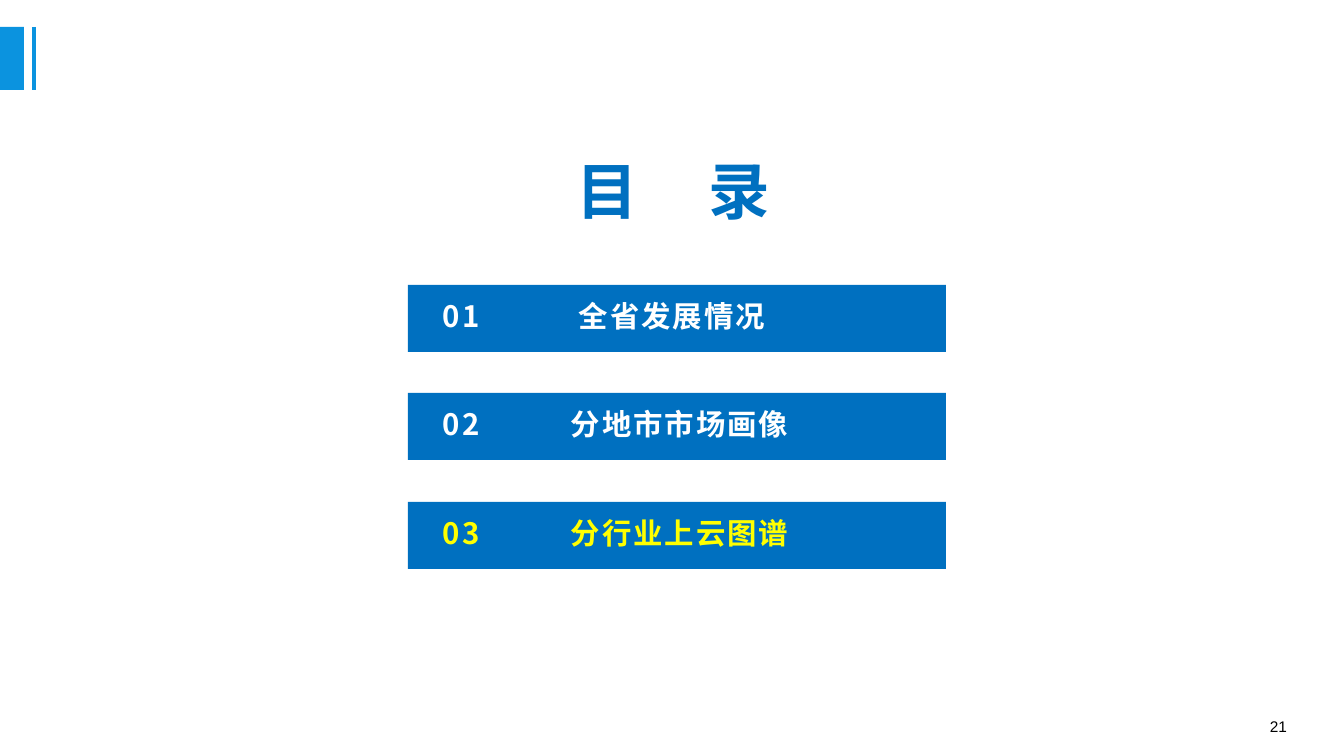
from lxml import etree
from pptx import Presentation, util as u
from pptx.dml.color import RGBColor
from pptx.enum import shapes, text
from pptx.oxml import ns

PX = 914400 / 100.8
CJK = "Noto Sans CJK SC"
BLUE, ACCENT = "0070C0", "0B93DF"
WHITE, YELLOW, BLACK = "FFFFFF", "FFFF00", "000000"


def px(length):
    return u.Emu(round(length * PX))


def colour(value):
    return RGBColor.from_string(value)


class SlideKit:
    """Draws styled elements on the current slide, measured in px."""

    def __init__(self, slide):
        self.slide = slide

    def bar(self, left, top, width, height, fill):
        bar = self.slide.shapes.add_shape(
            shapes.MSO_SHAPE.RECTANGLE, px(left), px(top), px(width), px(height))
        bar.shadow.inherit = False
        bar.fill.solid()
        bar.fill.fore_color.rgb = colour(fill)
        bar.line.fill.background()
        return bar

    def rule(self, x1, y1, x2, y2, stroke, weight):
        rule = self.slide.shapes.add_connector(
            shapes.MSO_CONNECTOR.STRAIGHT, px(x1), px(y1), px(x2), px(y2))
        rule.line.color.rgb = colour(stroke)
        rule.line.width = u.Pt(weight)
        etree.SubElement(rule._element.spPr, ns.qn("a:effectLst"))

    def label(self, left, top, width, height):
        return self.slide.shapes.add_textbox(px(left), px(top), px(width), px(height))

    def add_words(self, holder, runs, size, font=CJK, bold=True, align=text.PP_ALIGN.LEFT,
                  inset=(0, 0), spacing=1.0, tab=None, tracking=0):
        frame = holder.text_frame
        frame.word_wrap = True
        frame.vertical_anchor = text.MSO_ANCHOR.MIDDLE
        frame.margin_left, frame.margin_right = map(px, inset)
        frame.margin_top = frame.margin_bottom = 0
        paragraph = frame.paragraphs[0]
        paragraph.alignment = align
        paragraph.line_spacing = spacing
        if tab:
            stops = etree.SubElement(paragraph._p.get_or_add_pPr(), ns.qn("a:tabLst"))
            etree.SubElement(stops, ns.qn("a:tab"), pos=str(px(tab)), algn="l")
        for words, ink in runs:
            run = paragraph.add_run()
            run.text = words
            run.font.size, run.font.bold = u.Pt(size), bold
            run.font.color.rgb = colour(ink)
            run.font.name = font
            props = run._r.get_or_add_rPr()
            etree.SubElement(props, ns.qn("a:ea"), typeface=font)
            if tracking:
                props.set("spc", str(tracking))


def main():
    deck = Presentation()
    deck.slide_width, deck.slide_height = px(1344), px(756)
    kit = SlideKit(deck.slides.add_slide(deck.slide_layouts[6]))

    kit.bar(0, 27, 24, 63, ACCENT)
    kit.rule(34, 27, 34, 90, ACCENT, 2.25)
    page_number = kit.label(1239, 712, 58, 29)
    kit.add_words(page_number, [("21", BLACK)], 11, font="Arial", bold=False,
                  align=text.PP_ALIGN.RIGHT, inset=(10, 10))

    heading = kit.label(577, 162, 261, 68)
    kit.add_words(heading, [("目\t录", BLUE)], 44, spacing=0.85, tab=132)

    chapters = [
        ("01", "全省发展情况", WHITE, 136),
        ("02", "分地市市场画像", WHITE, 128),
        ("03", "分行业上云图谱", YELLOW, 128),
    ]
    for row, (number, chapter, ink, tab) in enumerate(chapters):
        chapter_bar = kit.bar(408, 285 + row * 217 // 2, 538, 67, BLUE)
        kit.add_words(chapter_bar, [(number, ink), ("\t" + chapter, ink)], 21,
                      inset=(35, 0), spacing=0.9, tab=tab, tracking=140)

    deck.save("out.pptx")


if __name__ == "__main__":
    main()
